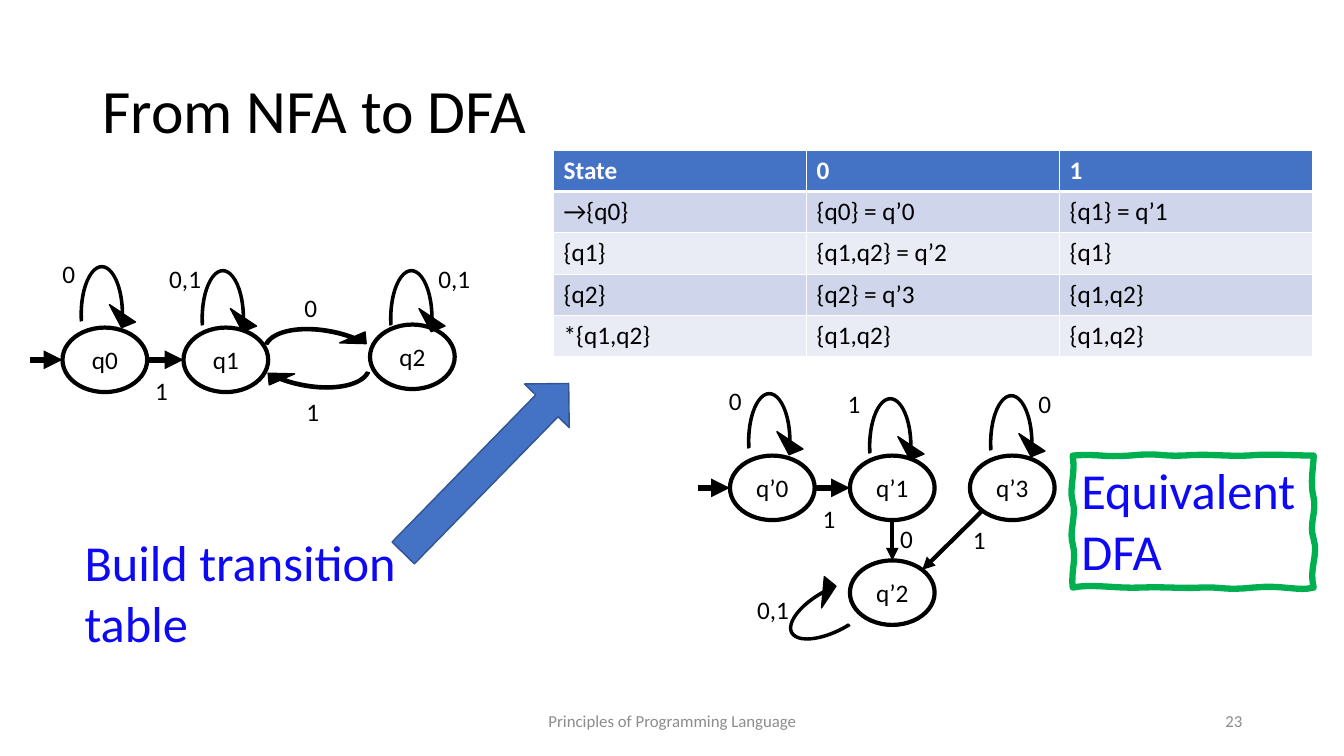
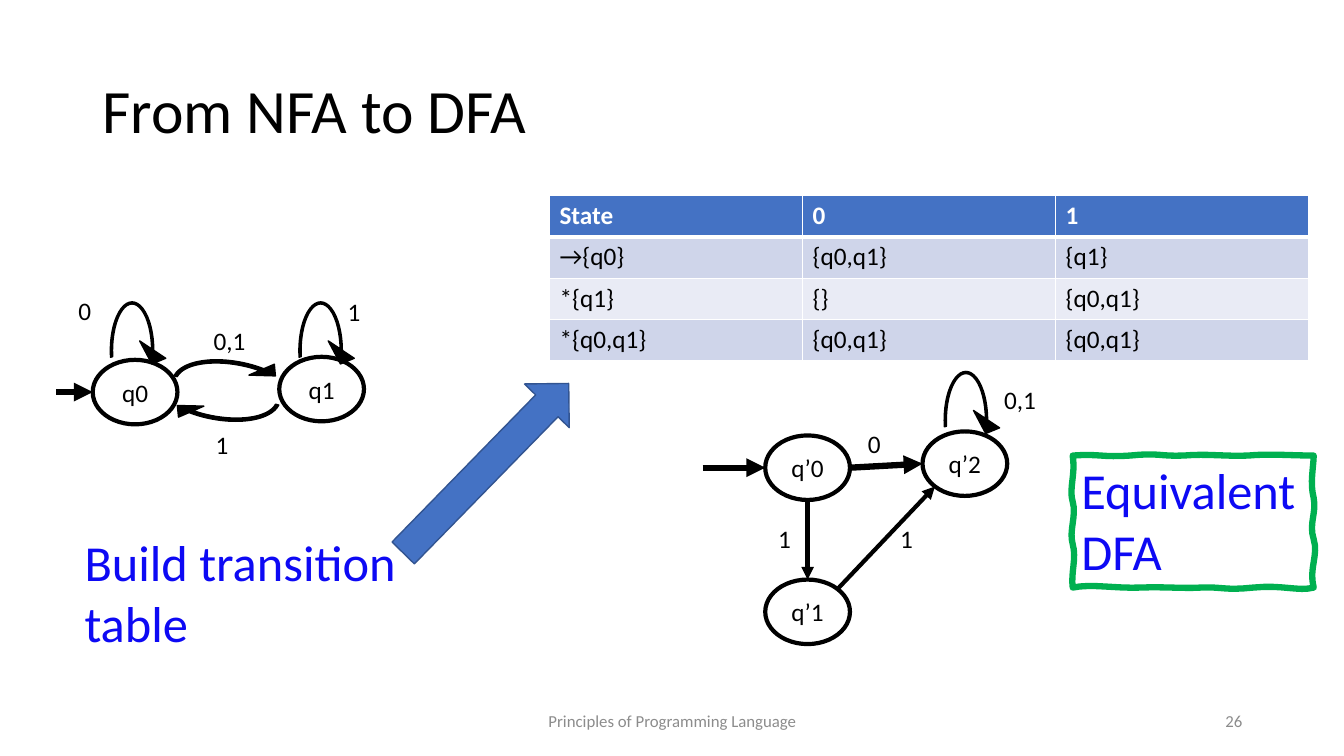
from math import atan2, cos, pi, sin

from lxml.etree import SubElement
from pptx import Presentation
from pptx.dml.color import RGBColor
from pptx.enum.shapes import MSO_CONNECTOR, MSO_SHAPE as SHAPE
from pptx.enum.text import MSO_ANCHOR as ANCHOR, PP_ALIGN as ALIGN
from pptx.oxml.ns import qn
from pptx.util import Cm, Pt

BLACK = RGBColor(0, 0, 0)
WHITE = RGBColor(255, 255, 255)
GRAY = RGBColor(0x8C, 0x8C, 0x8C)
INK = RGBColor(0x0D, 0x09, 0xF4)
BLUE = RGBColor(0x44, 0x72, 0xC4)
NAVY = RGBColor(0x32, 0x54, 0x91)
GREEN = RGBColor(0, 0xB0, 0x50)
BANDS = (RGBColor(0xCF, 0xD5, 0xEA), RGBColor(0xE9, 0xEB, 0xF5))
FONT = "Calibri"

# Measures below are in inches; size() turns them into Cm.
INCH = 2.54
NODE = (0.84, 0.64)
LOOP = (0.72, 1.26)
BOW = (1.53, 0.85)
LOOP_ADJ = (0.03, 22.155, 214.097, 97.892, 0.216)
BOW_ADJ = (0.038, 11.423, 183.659, 110.024, 0.161)
BOWS = ((0.66, -0.1, 11.7), (0.46, -0.14, 191.4))
COL, ROW = 2.51, 0.41

TITLE = "From NFA to DFA"
FOOTER = "Principles of Programming Language"
STEP = "Build transition table"
RESULT = ("Equivalent", "DFA")
HEAD = ("State", "0", "1")

# nodes: name -> left, top; starts: node, length; loops: node, dx, dy, turn;
# bows: left node of a pair; labels: text, left, top
SLIDES = [
    dict(
        number="23",
        table=(5.49, 1.49),
        rows=[
            ("→{q0}", "{q0} = q’0", "{q1} = q’1"),
            ("{q1}", "{q1,q2} = q’2", "{q1}"),
            ("{q2}", "{q2} = q’3", "{q1,q2}"),
            ("*{q1,q2}", "{q1,q2}", "{q1,q2}"),
        ],
        nodes={
            "q0": (0.62, 3.25), "q1": (1.82, 3.25), "q2": (3.67, 3.22),
            "q’0": (7.24, 4.52), "q’1": (8.43, 4.52),
            "q’3": (9.62, 4.52), "q’2": (8.43, 5.56),
        },
        starts=[("q0", 0.32), ("q’0", 0.32)],
        edges=[("q0", "q1"), ("q’0", "q’1"), ("q’1", "q’2"), ("q’3", "q’2")],
        loops=[
            ("q0", 0.03, -0.76, 0), ("q1", 0.03, -0.72, 0),
            ("q2", 0.05, -0.69, 0), ("q’0", 0.03, -0.77, 0),
            ("q’1", 0.04, -0.72, 0), ("q’3", 0.05, -0.75, 0),
            ("q’2", -0.52, -0.14, 241.5),
        ],
        bows="q1",
        labels=[
            ("0", 0.52, 2.51), ("0,1", 1.58, 2.56), ("0,1", 4.25, 2.56),
            ("0", 2.92, 2.85), ("1", 2.94, 3.88), ("1", 1.44, 3.67),
            ("0", 7.13, 3.77), ("1", 8.31, 3.8), ("0", 10.2, 3.8),
            ("1", 8.06, 4.94), ("0", 8.83, 5.14), ("1", 9.55, 5.15),
            ("0,1", 7.41, 5.85),
        ],
    ),
    dict(
        number="26",
        table=(5.45, 1.94),
        rows=[
            ("→{q0}", "{q0,q1}", "{q1}"),
            ("*{q1}", "{}", "{q0,q1}"),
            ("*{q0,q1}", "{q0,q1}", "{q0,q1}"),
        ],
        nodes={
            "q0": (0.92, 3.57), "q1": (2.77, 3.54), "q’0": (7.59, 4.32),
            "q’2": (9.15, 4.28), "q’1": (7.59, 5.75),
        },
        starts=[("q0", 0.36), ("q’0", 0.62)],
        edges=[("q’0", "q’2"), ("q’0", "q’1"), ("q’1", "q’2")],
        loops=[
            ("q0", 0.03, -0.72, 0), ("q1", 0.05, -0.69, 0),
            ("q’2", 0.07, -0.74, 0),
        ],
        bows="q0",
        labels=[
            ("0", 0.68, 2.88), ("1", 3.35, 2.89), ("0,1", 2.02, 3.18),
            ("1", 2.04, 4.21), ("0", 8.51, 4.2), ("0,1", 9.86, 3.76),
            ("1", 7.62, 5.14), ("1", 8.83, 5.14),
        ],
    ),
]

# Wavy frame: a start point, then two handles and an end for each curve.
WAVE = (10.64, 4.52)
CURVES = [
    (10.9, 4.5, 10.93, 4.54, 11.21, 4.52),
    (11.5, 4.49, 11.5, 4.53, 11.74, 4.52),
    (11.97, 4.5, 12.17, 4.53, 12.38, 4.52),
    (12.6, 4.5, 12.8, 4.52, 13.03, 4.52),
    (13.03, 4.63, 12.99, 4.79, 13.03, 4.94),
    (13.06, 5.09, 12.98, 5.19, 13.03, 5.35),
    (13.08, 5.51, 12.98, 5.64, 13.03, 5.83),
    (12.88, 5.87, 12.72, 5.8, 12.43, 5.83),
    (12.14, 5.86, 12.12, 5.82, 11.91, 5.83),
    (11.7, 5.84, 11.55, 5.82, 11.31, 5.83),
    (11.07, 5.84, 10.82, 5.79, 10.64, 5.83),
    (10.62, 5.68, 10.68, 5.54, 10.64, 5.4),
    (10.6, 5.27, 10.68, 5.11, 10.64, 4.98),
    (10.6, 4.85, 10.67, 4.71, 10.64, 4.52),
]


def size(*nums):
    """Turn inches into lengths."""
    return [Cm(num * INCH) for num in nums]


def write(frame, lines, points, color=BLACK, align=ALIGN.LEFT,
          anchor=ANCHOR.TOP, wrap=True, bold=False):
    """Fill a text frame, one paragraph a line."""
    frame.word_wrap = wrap
    frame.vertical_anchor = anchor
    for i, line in enumerate(lines):
        para = frame.add_paragraph() if i else frame.paragraphs[0]
        para.alignment = align
        run = para.add_run()
        run.text = line
        font = run.font
        font.name, font.size, font.bold = FONT, Pt(points), bold
        font.color.rgb = color
    return frame


def add_text(slide, box, line, points, **style):
    """Add a text box with one line."""
    frame = slide.shapes.add_textbox(*size(*box)).text_frame
    return write(frame, [line], points, **style)


def paint(shape, fill, line, width):
    """Set fill and outline, with no shadow."""
    shape.shadow.inherit = False
    if fill is None:
        shape.fill.background()
    else:
        shape.fill.solid()
        shape.fill.fore_color.rgb = fill
    shape.line.color.rgb = line
    shape.line.width = Pt(width)


def add_form(slide, kind, box, fill=None, line=BLACK, width=1, turn=0, adj=()):
    """Add a preset shape."""
    shape = slide.shapes.add_shape(kind, *size(*box))
    paint(shape, fill, line, width)
    shape.rotation = turn
    for i, value in enumerate(adj):
        shape.adjustments[i] = value
    return shape


def add_arrow(slide, tail, tip, width):
    """Add a straight line with a triangle at its tip."""
    link = slide.shapes.add_connector(MSO_CONNECTOR.STRAIGHT,
                                      *size(*tail, *tip))
    link.line.color.rgb = BLACK
    link.line.width = Pt(width)
    SubElement(link.line._get_or_add_ln(), qn("a:tailEnd"), type="triangle")
    SubElement(link._element.spPr, qn("a:effectLst"))


def rim(spot, step):
    """Point on a node's rim, in eighths of a turn from the right."""
    turn = step * pi / 4
    return [left + side / 2 * (1 + part)
            for left, side, part in zip(spot, NODE, (cos(turn), sin(turn)))]


def add_graph(slide, page):
    """Draw the nodes, arrows, loops and labels of both machines."""
    nodes = page["nodes"]
    for name, spot in nodes.items():
        node = add_form(slide, SHAPE.OVAL, (*spot, *NODE), width=3)
        write(node.text_frame, [name], 18, align=ALIGN.CENTER,
              anchor=ANCHOR.MIDDLE, wrap=False)
    for name, length in page["starts"]:
        x, y = rim(nodes[name], 4)
        add_arrow(slide, (x - length, y), (x, y), 4.5)
    for first, last in page["edges"]:
        a, b = nodes[first], nodes[last]
        step = round(atan2(b[1] - a[1], b[0] - a[0]) * 4 / pi)
        add_arrow(slide, rim(a, step), rim(b, step + 4), 3 if step else 4.5)
    arcs = [(name, dx, dy, turn, LOOP, LOOP_ADJ)
            for name, dx, dy, turn in page["loops"]]
    arcs += [(page["bows"], *bow, BOW, BOW_ADJ) for bow in BOWS]
    for name, dx, dy, turn, area, adj in arcs:
        x, y = nodes[name]
        add_form(slide, SHAPE.CIRCULAR_ARROW, (x + dx, y + dy, *area),
                 fill=BLACK, turn=turn, adj=adj)
    for text, x, y in page["labels"]:
        wide = 0.33 if len(text) == 1 else 0.52
        add_text(slide, (x, y, wide, 0.4), text, 18, wrap=False)


def add_edge(cell, side, width):
    """Give one side of a cell a white border."""
    line = SubElement(cell._tc.get_or_add_tcPr(), qn("a:ln" + side),
                      w=str(Pt(width)))
    fill = SubElement(line, qn("a:solidFill"))
    SubElement(fill, qn("a:srgbClr"), val=str(WHITE))


def add_grid(slide, spot, rows):
    """Add the transition table."""
    rows = [HEAD] + rows
    area = size(*spot, COL * len(HEAD), ROW * len(rows))
    grid = slide.shapes.add_table(len(rows), len(HEAD), *area).table
    for r, row in enumerate(rows):
        for c, text in enumerate(row):
            cell = grid.cell(r, c)
            for side in "LRTB":
                thick = (r, side) in ((0, "B"), (1, "T"))
                add_edge(cell, side, 3 if thick else 1)
            cell.fill.solid()
            cell.fill.fore_color.rgb = BANDS[(r - 1) % 2] if r else BLUE
            write(cell.text_frame, [text], 18, bold=r == 0,
                  color=BLACK if r else WHITE)


def trace(start, curves, steps=8):
    """Points along a chain of Bezier curves."""
    points = []
    for x1, y1, x2, y2, x3, y3 in curves:
        for i in range(1, steps + 1):
            t = i / steps
            s = 1 - t
            mix = (s ** 3, 3 * s * s * t, 3 * s * t * t, t ** 3)
            points.append([
                sum(m * v for m, v in zip(mix, vals))
                for vals in ((start[0], x1, x2, x3), (start[1], y1, y2, y3))])
        start = (x3, y3)
    return points


def add_frame(slide):
    """Add the wavy frame with the result."""
    form = slide.shapes.build_freeform(*size(*WAVE))
    form.add_line_segments([size(*p) for p in trace(WAVE, CURVES)], close=True)
    shape = form.convert_to_shape()
    paint(shape, None, GREEN, 4.5)
    write(shape.text_frame, RESULT, 36, color=INK)


def add_slide(deck, page):
    """Build one slide."""
    slide = deck.slides.add_slide(deck.slide_layouts[6])
    mid = dict(anchor=ANCHOR.MIDDLE)
    title = add_text(slide, (0.92, 0.4, 11.5, 1.45), TITLE, 44, **mid)
    title.paragraphs[0].line_spacing = 0.9
    add_text(slide, (4.42, 6.95, 4.5, 0.4), FOOTER, 12, color=GRAY,
             align=ALIGN.CENTER, **mid)
    add_text(slide, (9.42, 6.95, 3, 0.4), page["number"], 12, color=GRAY,
             align=ALIGN.RIGHT, **mid)
    add_grid(slide, page["table"], page["rows"])
    add_text(slide, (0.74, 5.22, 4.16, 1.31), STEP, 36, color=INK)
    add_graph(slide, page)
    add_frame(slide)
    add_form(slide, SHAPE.DOWN_ARROW, (4.51, 3.47, 0.62, 2.35), fill=BLUE,
             line=NAVY, turn=224.3)


deck = Presentation()
deck.slide_width, deck.slide_height = size(13.33, 7.5)
for page in SLIDES:
    add_slide(deck, page)
deck.save("out.pptx")
